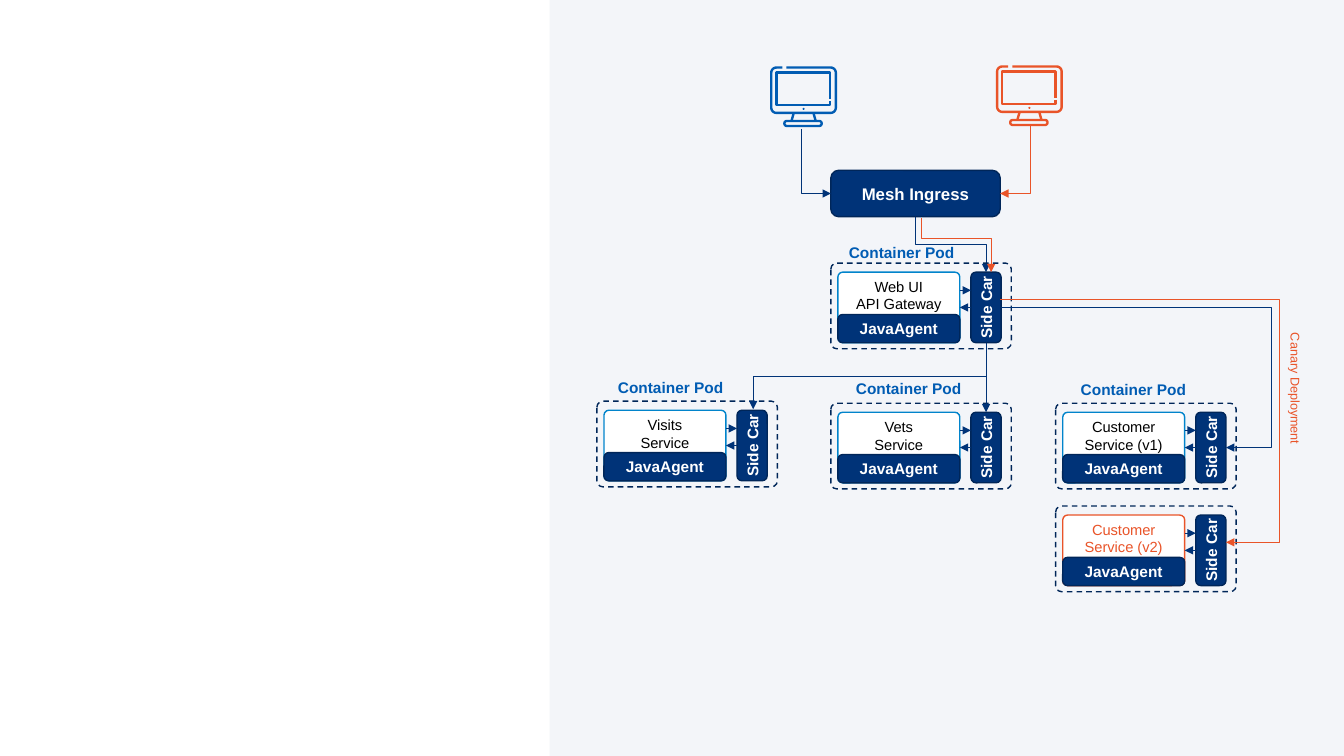
import math

import lxml.etree
import pptx
import pptx.dml.color
import pptx.enum.dml
import pptx.enum.shapes
import pptx.enum.text
import pptx.oxml.ns
import pptx.util

RGBColor = pptx.dml.color.RGBColor
SHAPE = pptx.enum.shapes.MSO_SHAPE
CONNECTOR = pptx.enum.shapes.MSO_CONNECTOR
ALIGN = pptx.enum.text.PP_ALIGN
ANCHOR = pptx.enum.text.MSO_ANCHOR
qn = pptx.oxml.ns.qn

PX = 9144  # 100 px to the inch

PANEL = RGBColor(0xF3, 0xF5, 0xF9)
NAVY = RGBColor(0x00, 0x33, 0x78)
EDGE = RGBColor(0x00, 0x26, 0x59)
BLUE = RGBColor(0x01, 0x5C, 0xB3)
SKY = RGBColor(0x01, 0x84, 0xCB)
ORANGE = RGBColor(0xE9, 0x54, 0x29)
WHITE = RGBColor(0xFF, 0xFF, 0xFF)
BLACK = RGBColor(0x00, 0x00, 0x00)

TOP, LEFT, BOTTOM, RIGHT = range(4)


def px(*lengths):
    return [pptx.util.Emu(round(n * PX)) for n in lengths]


def add_text(shape, text, size, color, bold=False, align=ALIGN.CENTER,
             anchor=ANCHOR.MIDDLE, insets=(10, 5, 10, 5), wrap=True):
    """Fill a shape with text, one paragraph per line; insets run left, top, right, bottom."""
    tf = shape.text_frame
    tf.word_wrap = wrap
    tf.vertical_anchor = anchor
    tf.margin_left, tf.margin_top, tf.margin_right, tf.margin_bottom = px(*insets)
    for i, line in enumerate(text.split("\n")):
        p = tf.paragraphs[0] if i == 0 else tf.add_paragraph()
        p.alignment = align
        r = p.add_run()
        r.text = line
        r.font.name = "Arial"
        r.font.size = pptx.util.Pt(size)
        r.font.bold = bold
        r.font.color.rgb = color


def add_box(s, box, fill=None, line=None, kind=SHAPE.ROUNDED_RECTANGLE, corner=None):
    sp = s.shapes.add_shape(kind, *px(*box))
    sp.shadow.inherit = False
    if fill is None:
        sp.fill.background()
    else:
        sp.fill.solid()
        sp.fill.fore_color.rgb = fill
    if line is None:
        sp.line.fill.background()
    else:
        sp.line.color.rgb = line
        sp.line.width = pptx.util.Pt(1)
    if corner is not None:
        sp.adjustments[0] = corner
    return sp


def add_label(s, text, box, size, color, bold=False, rotation=0):
    sp = s.shapes.add_textbox(*px(*box))
    sp.rotation = rotation
    add_text(sp, text, size, color, bold, align=ALIGN.LEFT, anchor=ANCHOR.TOP, wrap=False)


def add_arrow(s, begin, end, color=NAVY, kind=CONNECTOR.STRAIGHT):
    c = s.shapes.add_connector(kind, *px(*begin, *end))
    c.line.color.rgb = color
    c.line.width = pptx.util.Pt(0.5)
    spPr = c.element.spPr
    lxml.etree.SubElement(spPr.find(qn("a:ln")), qn("a:tailEnd"), type="triangle")
    lxml.etree.SubElement(spPr, qn("a:effectLst"))
    return c


def join(s, source, source_side, target, target_side):
    c = add_arrow(s, (0, 0), (0, 0))
    c.begin_connect(source, source_side)
    c.end_connect(target, target_side)


def set_bend(c, ratio):
    guides = c.element.spPr.find(qn("a:prstGeom")).find(qn("a:avLst"))
    lxml.etree.SubElement(guides, qn("a:gd"), name="adj1", fmla=f"val {round(ratio * 100000)}")


def add_side_route(s, begin, end, bend_x, color=NAVY):
    """Elbow arrow that leaves sideways and turns at bend_x."""
    c = add_arrow(s, begin, end, color, CONNECTOR.ELBOW)
    set_bend(c, (bend_x - begin[0]) / (end[0] - begin[0]))


def add_down_route(s, begin, end, bend_y=None, color=NAVY):
    """Elbow arrow that leaves downwards and turns at bend_y, or only once without it."""
    (x1, y1), (x2, y2) = begin, end
    mid_x, mid_y = (x1 + x2) / 2, (y1 + y2) / 2
    half_w, half_h = (y2 - y1) / 2, abs(x2 - x1) / 2
    to_right = x2 > x1
    if to_right:
        half_w = -half_w
    c = add_arrow(s, (mid_x - half_w, mid_y - half_h), (mid_x + half_w, mid_y + half_h),
                  color, CONNECTOR.ELBOW)
    spPr = c.element.spPr
    spPr.find(qn("a:xfrm")).set("rot", str((270 if to_right else 90) * 60000))
    if bend_y is None:
        spPr.find(qn("a:prstGeom")).set("prst", "bentConnector2")
    else:
        set_bend(c, (bend_y - y1) / (y2 - y1))


def corner_arc(x, y, radius, start):
    """Points of a clockwise quarter turn round (x, y) from the start angle in degrees."""
    angles = [math.radians(start + step) for step in range(0, 91, 15)]
    return [(x + radius * math.cos(a), y + radius * math.sin(a)) for a in angles]


def rounded(left, top, right, bottom, radius):
    """Clockwise outline that starts after the top left corner."""
    l, t, r, b = left + radius, top + radius, right - radius, bottom - radius
    return (corner_arc(r, t, radius, 270) + corner_arc(r, b, radius, 0)
            + corner_arc(l, b, radius, 90) + corner_arc(l, t, radius, 180))


def add_monitor(s, left, top, color):
    base = rounded(14, 54, 51, 59, 2.5)
    strokes = [
        [(16, 1)] + rounded(1, 1, 65, 46, 5) + [(12, 1)],
        [(59, 34), (59, 38), (6, 38), (6, 6), (59, 6), (59, 32)],
        [(23, 47), (21, 54)],
        [(43, 47), (45, 54)],
        base + base[:1],
    ]
    for stroke in strokes:
        points = [px(left + x, top + y) for x, y in stroke]
        builder = s.shapes.build_freeform(*points[0], scale=1.0)
        builder.add_line_segments(points[1:], close=False)
        sp = builder.convert_to_shape()
        sp.shadow.inherit = False
        sp.fill.background()
        sp.line.color.rgb = color
        sp.line.width = pptx.util.Pt(1.7)
    add_box(s, (left + 32, top + 41, 2, 2), color, kind=SHAPE.OVAL)


def add_pod(s, left, top, service, line=SKY, color=BLACK):
    """Draw a pod and return its side car."""
    frame = add_box(s, (left, top, 179, 85), line=EDGE, corner=0.07)
    frame.line.dash_style = pptx.enum.dml.MSO_LINE.DASH
    app = add_box(s, (left + 7, top + 9, 121, 70), WHITE, line, corner=0.07)
    add_text(app, service, 10.5, color, anchor=ANCHOR.TOP, insets=(10, 4, 10, 5))
    agent = add_box(s, (left + 7, top + 51, 121, 28), NAVY, EDGE)
    add_text(agent, "JavaAgent", 11, WHITE, bold=True)
    side_car = add_box(s, (left + 139, top + 9, 30, 70), NAVY, EDGE)
    add_text(side_car, "Side Car", 11, WHITE, bold=True, insets=(5, 0, 5, 0))
    side_car.text_frame._txBody.find(qn("a:bodyPr")).set("vert", "vert270")
    add_arrow(s, (left + 128, top + 27), (left + 139, top + 27))
    join(s, side_car, LEFT, app, RIGHT)
    return side_car


def main():
    prs = pptx.Presentation()
    prs.slide_width, prs.slide_height = px(1333, 750)
    s = prs.slides.add_slide(prs.slide_layouts[6])

    add_box(s, (545, 0, 788, 750), PANEL, kind=SHAPE.RECTANGLE)
    add_down_route(s, (908, 215), (978, 270), 242)
    add_monitor(s, 764, 66, BLUE)
    add_monitor(s, 988, 65, ORANGE)
    ingress = add_box(s, (824, 169, 168, 46), NAVY, EDGE)
    add_text(ingress, "Mesh Ingress", 12, WHITE, bold=True)

    gateway_car = add_pod(s, 824, 261, "Web UI\nAPI Gateway")
    add_pod(s, 592, 398, "Visits\nService")
    vets_car = add_pod(s, 824, 400, "Vets\nService")
    add_pod(s, 1047, 400, "Customer\nService (v1)")
    add_pod(s, 1047, 502, "Customer\nService (v2)", ORANGE, ORANGE)

    add_side_route(s, (993, 305), (1216, 444), 1261)
    add_down_route(s, (978, 340), (747, 406), 373)
    join(s, gateway_car, BOTTOM, vets_car, TOP)
    add_down_route(s, (795, 128), (824, 192))
    add_down_route(s, (1022, 125), (992, 192), color=ORANGE)
    add_down_route(s, (914, 216), (983, 270), 237, ORANGE)
    add_side_route(s, (992, 297), (1216, 538), 1269, ORANGE)

    for left, top in [(603, 370), (839, 371), (1062, 372), (832, 236)]:
        add_label(s, "Container Pod", (left, top, 139, 29), 11, BLUE, bold=True)
    add_label(s, "Canary Deployment", (1219, 374, 132, 25), 9, ORANGE, rotation=90)

    prs.save("out.pptx")


if __name__ == "__main__":
    main()
